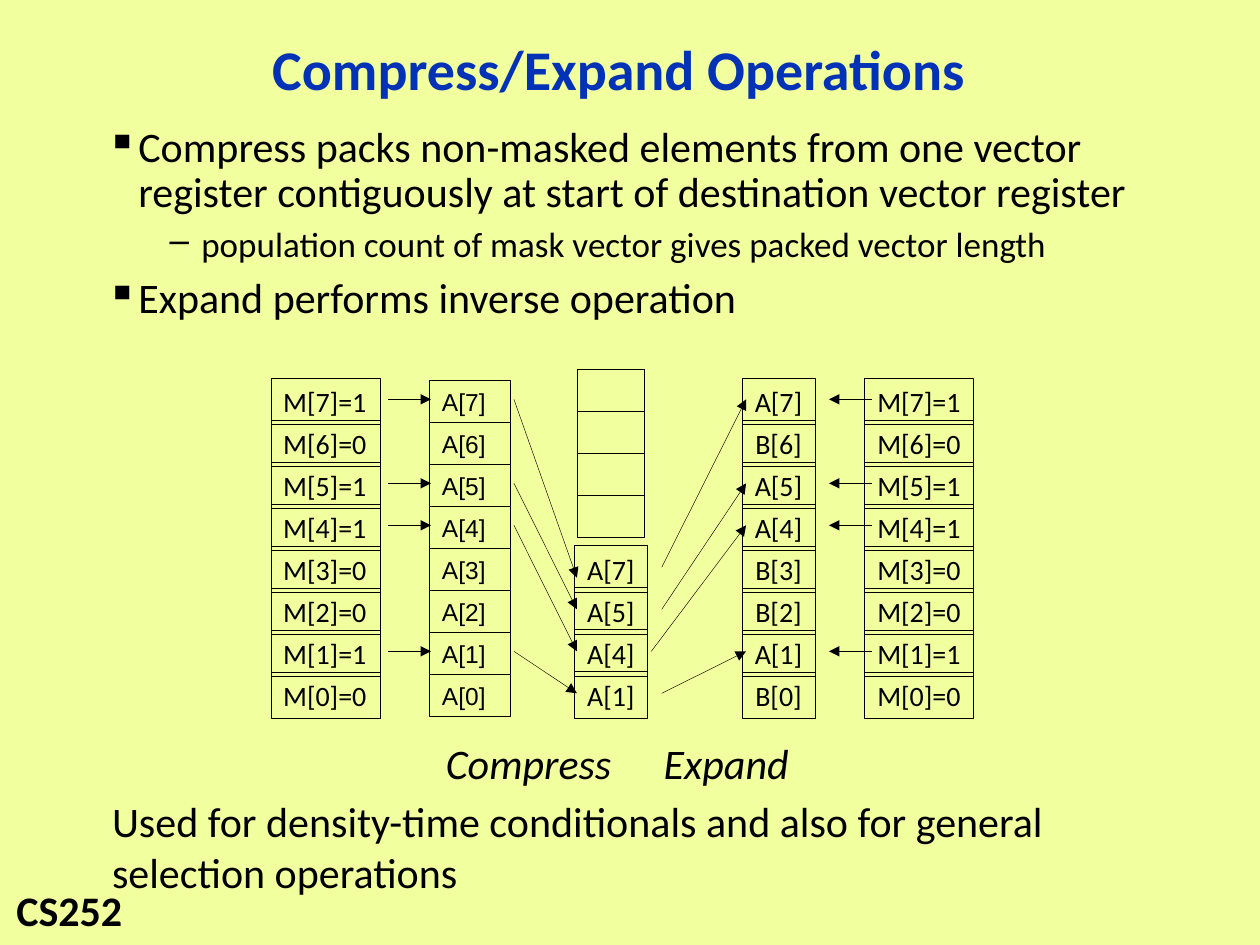
from lxml import etree
from pptx import Presentation
from pptx.dml.color import RGBColor
from pptx.enum.shapes import MSO_CONNECTOR, MSO_SHAPE
from pptx.enum.text import MSO_ANCHOR, MSO_AUTO_SIZE, PP_ALIGN
from pptx.oxml.ns import qn
from pptx.util import Cm, Pt

LEFT, CENTER = PP_ALIGN.LEFT, PP_ALIGN.CENTER
TOP, MIDDLE = MSO_ANCHOR.TOP, MSO_ANCHOR.MIDDLE
GROW = MSO_AUTO_SIZE.SHAPE_TO_FIT_TEXT
RECTANGLE = MSO_SHAPE.RECTANGLE
STRAIGHT = MSO_CONNECTOR.STRAIGHT

ROW_PITCH = 2.54 / 3
FIRST_ROW_CENTER = 8.05
MASK = [1, 0, 1, 1, 0, 0, 1, 0]  # M[7] down to M[0]
SELECTED_ROWS = [row for row, bit in enumerate(MASK) if bit]


def color(hex_string):
    return RGBColor.from_string(hex_string)


def row_center(row):
    return FIRST_ROW_CENTER + row * ROW_PITCH


class SlideBuilder:
    font_name = "Calibri"
    ink = "000000"
    title_ink = "0332B7"
    background = "F1FF9E"
    line_width = Pt(0.25)

    def __init__(self, presentation):
        self.slide = presentation.slides.add_slide(presentation.slide_layouts[5])
        fill = self.slide.background.fill
        fill.solid()
        fill.fore_color.rgb = color(self.background)

    def format_paragraph(self, paragraph, size, align=LEFT, bold=False, italic=False,
                         ink=None, font_name=None):
        paragraph.alignment = align
        font = paragraph.font
        font.name = font_name or self.font_name
        font.size = Pt(size)
        font.bold = bold
        font.italic = italic
        font.color.rgb = color(ink or self.ink)

    def title(self, text, left, top, width, height):
        shape = self.slide.shapes.title
        shape.left, shape.top, shape.width, shape.height = map(Cm, (left, top, width, height))
        shape.text_frame.text = text
        shape.text_frame.vertical_anchor = MIDDLE
        paragraph = shape.text_frame.paragraphs[0]
        self.format_paragraph(paragraph, 32, CENTER, bold=True, ink=self.title_ink)
        paragraph.line_spacing = 0.9

    def text(self, text, left, top, width, height, wrap=False, anchor=MIDDLE, **style):
        box = self.slide.shapes.add_textbox(*map(Cm, (left, top, width, height)))
        frame = box.text_frame
        frame.text = text
        frame.word_wrap = wrap
        frame.auto_size = GROW
        frame.vertical_anchor = anchor
        self.format_paragraph(frame.paragraphs[0], 24, **style)

    def bullets(self, items, left, top, width, height):
        """Add (level, text) items as a bulleted list."""
        box = self.slide.shapes.add_textbox(*map(Cm, (left, top, width, height)))
        frame = box.text_frame
        frame.word_wrap = True
        frame.vertical_anchor = MIDDLE
        for index, (level, text) in enumerate(items):
            paragraph = frame.add_paragraph() if index else frame.paragraphs[0]
            paragraph.text = text
            paragraph.level = level
            self.format_paragraph(paragraph, 20 if level else 24)
            paragraph.line_spacing = 0.9
            paragraph.space_before = Pt(6 if level else 7)
            properties = paragraph._p.get_or_add_pPr()
            properties.set("marL", str(Cm(1.91 if level else 0.64)))
            properties.set("indent", str(-Cm(0.64)))
            bullet = etree.SubElement(properties, qn("a:buChar"))
            bullet.set("char", "–" if level else "▪")
            defaults = properties.find(qn("a:defRPr"))
            if defaults is not None:
                properties.append(defaults)

    def cell(self, text, left, top, width, height, size=16, **style):
        shape = self.slide.shapes.add_shape(RECTANGLE, *map(Cm, (left, top, width, height)))
        shape.shadow.inherit = False
        shape.fill.background()
        shape.line.color.rgb = color(self.ink)
        shape.line.width = self.line_width
        if text:
            frame = shape.text_frame
            frame.text = text
            frame.word_wrap = False
            frame.auto_size = GROW
            frame.vertical_anchor = MIDDLE
            self.format_paragraph(frame.paragraphs[0], size, **style)

    def column(self, labels, left, top, width, height=0.94, **style):
        """Stack one cell per label at the common row pitch."""
        for row, label in enumerate(labels):
            self.cell(label, left, top + row * ROW_PITCH, width, height, **style)

    def arrow(self, start_x, start_row, end_x, end_row):
        connector = self.slide.shapes.add_connector(
            STRAIGHT, Cm(start_x), Cm(row_center(start_row)), Cm(end_x), Cm(row_center(end_row)))
        connector.line.color.rgb = color(self.ink)
        connector.line.width = self.line_width
        etree.SubElement(connector.line._get_or_add_ln(), qn("a:tailEnd"), type="triangle")
        etree.SubElement(connector._element.spPr, qn("a:effectLst"))


def main():
    presentation = Presentation()
    presentation.slide_width, presentation.slide_height = Cm(25.4), Cm(19.05)
    builder = SlideBuilder(presentation)

    builder.text("CS252", 0.08, 17.7, 2.67, 1.27, anchor=TOP, bold=True)
    builder.title("Compress/Expand Operations", 2.34, 0.43, 20.27, 2.06)
    builder.bullets([
        (0, "Compress packs non-masked elements from one vector register "
            "contiguously at start of destination vector register"),
        (1, "population count of mask vector gives packed vector length"),
        (0, "Expand performs inverse operation"),
    ], 1.9, 2.34, 21.34, 4.37)

    numbers = range(7, -1, -1)
    mask_labels = [f"M[{number}]={bit}" for number, bit in zip(numbers, MASK)]
    source_labels = [f"A[{number}]" for number in numbers]
    packed_labels = [source_labels[row] for row in SELECTED_ROWS]
    expanded_labels = [f"{'A' if bit else 'B'}[{number}]" for number, bit in zip(numbers, MASK)]

    builder.column(mask_labels, 5.46, 7.62, 2.21)
    builder.column(source_labels, 8.66, 7.67, 1.63, 0.85, size=14, font_name="Arial")
    builder.column([""] * 4, 11.63, 7.44, 1.35, 0.85)
    builder.column(packed_labels, 11.58, 11, 1.47, align=CENTER)
    builder.column(expanded_labels, 14.96, 7.62, 1.47, align=CENTER)
    builder.column(mask_labels, 17.42, 7.62, 2.21, align=CENTER)

    compress_ends = [4.25, 5, 6, 7]
    expand_starts = [(13.34, 4), (13.34, 5), (13.13, 6), (13.34, 7)]
    for row, compress_end, expand_start in zip(SELECTED_ROWS, compress_ends, expand_starts):
        builder.arrow(7.82, row, 8.69, row)
        builder.arrow(10.36, row, 11.63, compress_end)
        builder.arrow(*expand_start, 15.04, row)
        builder.arrow(17.58, row, 16.71, row)

    builder.text("Compress", 8.61, 14.73, 4.09, 1.3, align=CENTER, italic=True)
    builder.text("Expand", 13, 14.73, 3.28, 1.3, align=CENTER, italic=True)
    builder.text("Used for density-time conditionals and also for general selection operations",
                 2.01, 15.9, 21.39, 2.31, wrap=True)
    presentation.save("out.pptx")


if __name__ == "__main__":
    main()
